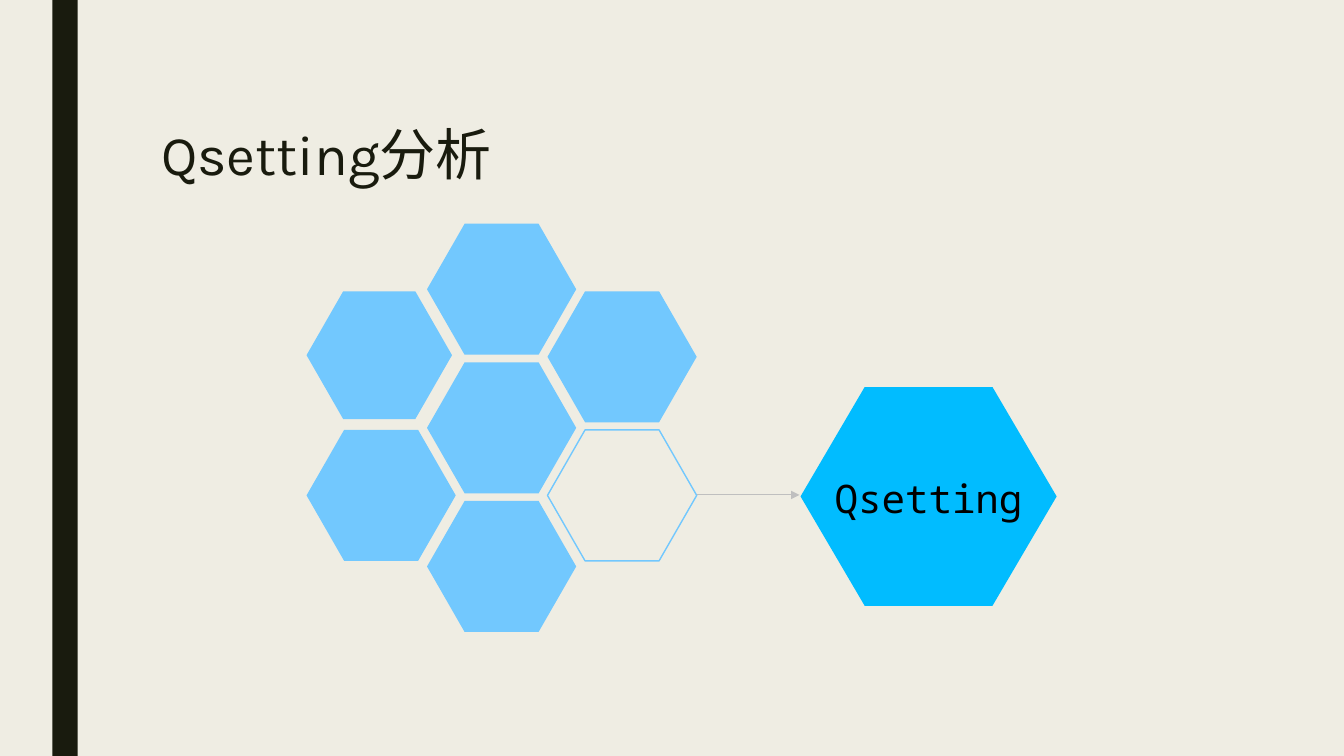
import pptx
import pptx.util
import pptx.dml.color
import pptx.enum.shapes
import pptx.enum.text
import pptx.oxml.ns
import lxml.etree

Inches = pptx.util.Inches
SHAPES = pptx.enum.shapes.MSO_SHAPE
ALIGN = pptx.enum.text.PP_ALIGN
WIDTH, HEIGHT = 13.33, 7.5
COLORS = {
    "background": "EFEDE3",
    "dark": "191B0E",
    "cell": "72C8FE",
    "focus": "01BCFF",
    "arrow": "BFBFBF",
    "black": "000000",
}


def color(name):
    return pptx.dml.color.RGBColor.from_string(COLORS[name])


def add_block(slide, kind, box, fill=None, line=None, adjustment=None):
    shape = slide.shapes.add_shape(kind, *map(Inches, box))
    shape.shadow.inherit = False
    if adjustment is not None:
        shape.adjustments[0] = adjustment
    if fill:
        shape.fill.solid()
        shape.fill.fore_color.rgb = color(fill)
    else:
        shape.fill.background()
    if line:
        shape.line.color.rgb = color(line)
        shape.line.width = pptx.util.Pt(1)
    else:
        shape.line.fill.background()
    return shape


def write_text(shape, text, size, font, ink, align=ALIGN.LEFT, wrap=True, spacing=None, top=0.05):
    frame = shape.text_frame
    frame.word_wrap = wrap
    frame.margin_top = Inches(top)
    frame.vertical_anchor = pptx.enum.text.MSO_ANCHOR.MIDDLE
    paragraph = frame.paragraphs[0]
    paragraph.alignment = align
    if spacing:
        paragraph.line_spacing = spacing
    run = paragraph.add_run()
    run.text = text
    run.font.size = pptx.util.Pt(size)
    run.font.name = font
    run.font.color.rgb = color(ink)


def add_title(slide, box):
    title = slide.shapes.add_textbox(*map(Inches, box))
    write_text(title, "Qsetting分析", size=40, font="Karla", ink="dark", spacing=0.89)


def add_honeycomb(slide, box):
    left, top, width, height = box
    column_step, row_step = 1.195, 1.375
    cell_width = width - 2 * column_step
    cell_height = height - 2 * row_step
    for column, (offset, rows) in enumerate([(0.67, 2), (0, 3), (0.67, 2)]):
        for row in range(rows):
            scale = 0.975 if (column, row) == (0, 0) else 1
            is_outlined = (column, row) == (2, 1)
            cell = (left + column * column_step, top + offset + row * row_step,
                    cell_width * scale, cell_height * scale)
            add_block(slide, SHAPES.HEXAGON, cell, adjustment=0.287,
                      fill=None if is_outlined else "cell",
                      line="cell" if is_outlined else None)


def add_focus(slide, box):
    hexagon = add_block(slide, SHAPES.HEXAGON, box, fill="focus", adjustment=0.293)
    write_text(hexagon, "Qsetting", size=28, font="Noto Sans Mono", ink="black",
               align=ALIGN.CENTER, wrap=False, top=0.07)


def add_arrow(slide, start, end):
    arrow = slide.shapes.add_connector(
        pptx.enum.shapes.MSO_CONNECTOR.STRAIGHT, *map(Inches, (*start, *end)))
    arrow.line.color.rgb = color("arrow")
    arrow.line.width = pptx.util.Pt(0.75)
    qualified = pptx.oxml.ns.qn
    lxml.etree.SubElement(arrow.line._get_or_add_ln(), qualified("a:tailEnd"), type="triangle")
    lxml.etree.SubElement(arrow._element.spPr, qualified("a:effectLst"))


def build_slide(presentation):
    slide = presentation.slides.add_slide(presentation.slide_layouts[6])
    slide.background.fill.solid()
    slide.background.fill.fore_color.rgb = color("background")
    add_block(slide, SHAPES.RECTANGLE, (0.52, 0, 0.25, HEIGHT), fill="dark")
    add_honeycomb(slide, (3.04, 2.22, 3.87, 4.05))
    add_focus(slide, (7.94, 3.84, 2.54, 2.17))
    add_arrow(slide, (6.91, 4.91), (7.93, 4.91))
    add_title(slide, (1.5, 0.75, 10.5, 1.62))


def main():
    presentation = pptx.Presentation()
    presentation.slide_width = Inches(WIDTH)
    presentation.slide_height = Inches(HEIGHT)
    build_slide(presentation)
    presentation.save("out.pptx")


if __name__ == "__main__":
    main()
